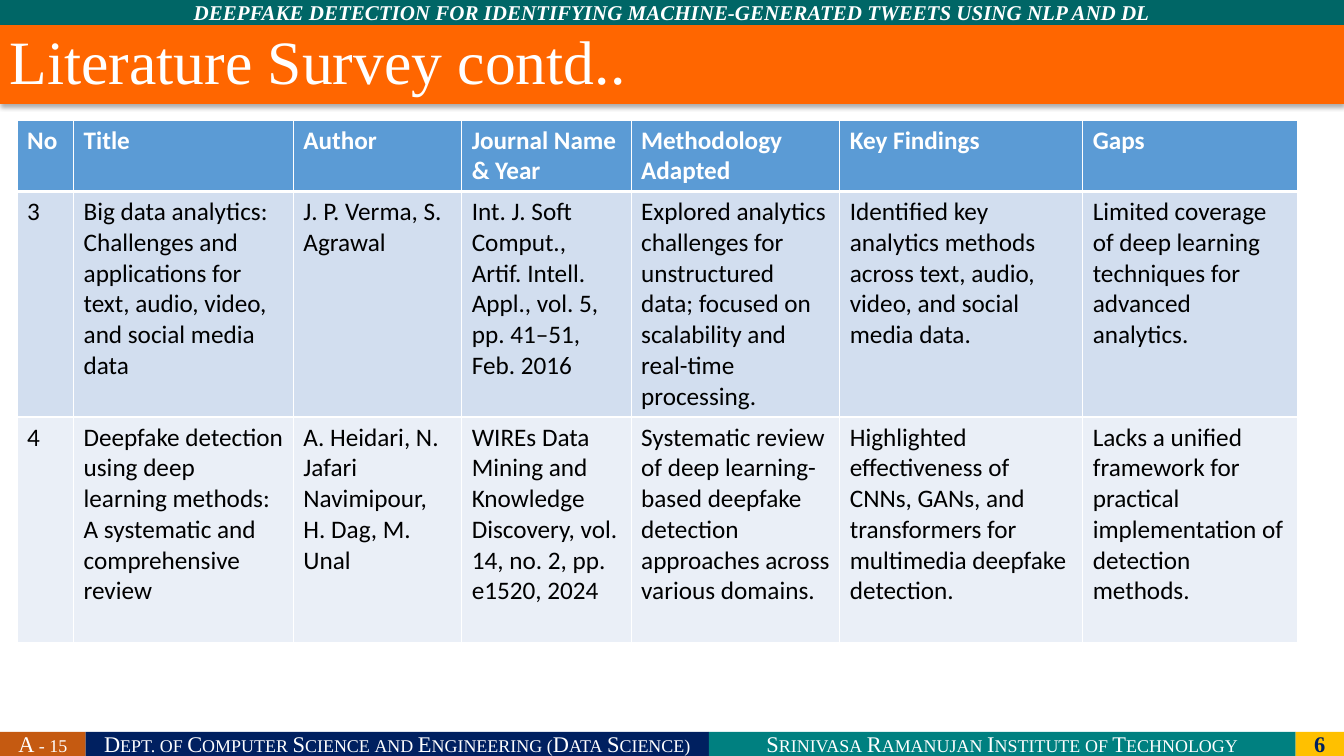
from lxml import etree
from pptx import Presentation
from pptx.dml.color import RGBColor
from pptx.enum.shapes import MSO_SHAPE
from pptx.enum.text import MSO_ANCHOR, PP_ALIGN
from pptx.oxml import parse_xml
from pptx.oxml.ns import nsdecls, qn
from pptx.util import Inches, Pt

RECT = MSO_SHAPE.RECTANGLE
MIDDLE = MSO_ANCHOR.MIDDLE
CENTER = PP_ALIGN.CENTER
LEFT = PP_ALIGN.LEFT
WIDE, HIGH = 13.33, 7.5
FOOT = 7.26
SERIF, SANS = "Times New Roman", "Calibri"
WHITE, BLACK, NAVY = "FFFFFF", "000000", "002060"

FOOTER = [
    ("A - 15", 0.85, "C55A11", WHITE, False),
    ("Dept. of Computer Science and Engineering (Data Science)", 6.18, NAVY, WHITE, False),
    ("Srinivasa Ramanujan Institute of Technology", 5.82, "008080", WHITE, False),
    ("6", 0.48, "FFC000", NAVY, True),
]
COLS = [0.56, 2.18, 1.67, 1.68, 2.07, 2.41, 2.13]
ROWS = [0.71, 2.23, 2.24]
FILLS = ["5B9BD5", "D2DEEF", "EAEFF7"]
SURVEY = [
    ["No", "Title", "Author", "Journal Name & Year", "Methodology Adapted",
     "Key Findings", "Gaps"],
    ["3",
     "Big data analytics: Challenges and applications for text, audio, video, and social media data",
     "J. P. Verma, S. Agrawal",
     "Int. J. Soft Comput., Artif. Intell. Appl., vol. 5, pp. 41–51, Feb. 2016",
     "Explored analytics challenges for unstructured data; focused on scalability and real-time processing.",
     "Identified key analytics methods across text, audio, video, and social media data.",
     "Limited coverage of deep learning techniques for advanced analytics."],
    ["4",
     "Deepfake detection using deep learning methods: A systematic and comprehensive review",
     "A. Heidari, N. Jafari Navimipour, H. Dag, M. Unal",
     "WIREs Data Mining and Knowledge Discovery, vol. 14, no. 2, pp. e1520, 2024",
     "Systematic review of deep learning-based deepfake detection approaches across various domains.",
     "Highlighted effectiveness of CNNs, GANs, and transformers for multimedia deepfake detection.",
     "Lacks a unified framework for practical implementation of detection methods."],
]


def color(code):
    return RGBColor.from_string(code)


def write(para, text, size, face, ink, bold=False):
    run = para.add_run()
    run.text = text
    font = run.font
    font.size = Pt(size)
    font.name = face
    font.bold = bold
    font.color.rgb = color(ink)
    return run


def band(slide, box, fill, text, size, ink=WHITE, bold=False, align=CENTER, inset=0):
    shape = slide.shapes.add_shape(RECT, *[Inches(n) for n in box])
    shape.shadow.inherit = False
    shape.fill.solid()
    shape.fill.fore_color.rgb = color(fill)
    shape.line.fill.background()
    frame = shape.text_frame
    frame.word_wrap = True
    frame.vertical_anchor = MIDDLE
    frame.margin_left = frame.margin_right = Inches(inset)
    frame.margin_top = frame.margin_bottom = 0
    para = frame.paragraphs[0]
    para.alignment = align
    return shape, write(para, text, size, SERIF, ink, bold)


def shade(shape):
    effects = shape._element.spPr.find(qn("a:effectLst"))
    effects.append(parse_xml(
        f'<a:outerShdw {nsdecls("a")} blurRad="{Pt(3.5)}" dist="{Pt(2.2)}" dir="5400000">'
        f'<a:srgbClr val="{BLACK}"><a:alpha val="32000"/></a:srgbClr></a:outerShdw>'))


def edge(cell, side, width):
    props = cell._tc.get_or_add_tcPr()
    line = etree.SubElement(props, qn(f"a:{side}"), w=str(Pt(width)))
    fill = etree.SubElement(line, qn("a:solidFill"))
    etree.SubElement(fill, qn("a:srgbClr"), val=WHITE)


def paint(cell, text, row):
    head = row == 0
    for side in ("lnL", "lnR", "lnT", "lnB"):
        thick = (head and side == "lnB") or (row == 1 and side == "lnT")
        edge(cell, side, 3 if thick else 1)
    cell.fill.solid()
    cell.fill.fore_color.rgb = color(FILLS[row])
    write(cell.text_frame.paragraphs[0], text, 18, SANS, WHITE if head else BLACK, head)


def grid(slide):
    frame = slide.shapes.add_table(len(ROWS), len(COLS), Inches(0.17), Inches(1.19),
                                   Inches(sum(COLS)), Inches(sum(ROWS)))
    table = frame.table
    for col, width in zip(table.columns, COLS):
        col.width = Inches(width)
    for row, high in zip(table.rows, ROWS):
        row.height = Inches(high)
    for r, texts in enumerate(SURVEY):
        for c, text in enumerate(texts):
            paint(table.cell(r, c), text, r)


def footer(slide):
    left = 0
    for text, width, fill, ink, bold in FOOTER:
        box = (left, FOOT, width, HIGH - FOOT)
        run = band(slide, box, fill, text, 16, ink, bold)[1]
        if not bold:
            run.font._element.set("cap", "small")
        left += width


def main():
    deck = Presentation()
    deck.slide_width, deck.slide_height = Inches(WIDE), Inches(HIGH)
    slide = deck.slides.add_slide(deck.slide_layouts[6])
    footer(slide)
    topic = band(slide, (0, 0, WIDE, 0.25), "006666",
                 "DEEPFAKE DETECTION FOR IDENTIFYING MACHINE-GENERATED TWEETS USING NLP AND DL",
                 15, bold=True)[1]
    topic.font.italic = True
    title, run = band(slide, (0, 0.25, WIDE, 0.78), "FF6600",
                      "Literature Survey contd..", 44, align=LEFT, inset=0.1)
    title.text_frame.paragraphs[0].line_spacing = 0.9
    shade(title)
    grid(slide)
    deck.save("out.pptx")


if __name__ == "__main__":
    main()
